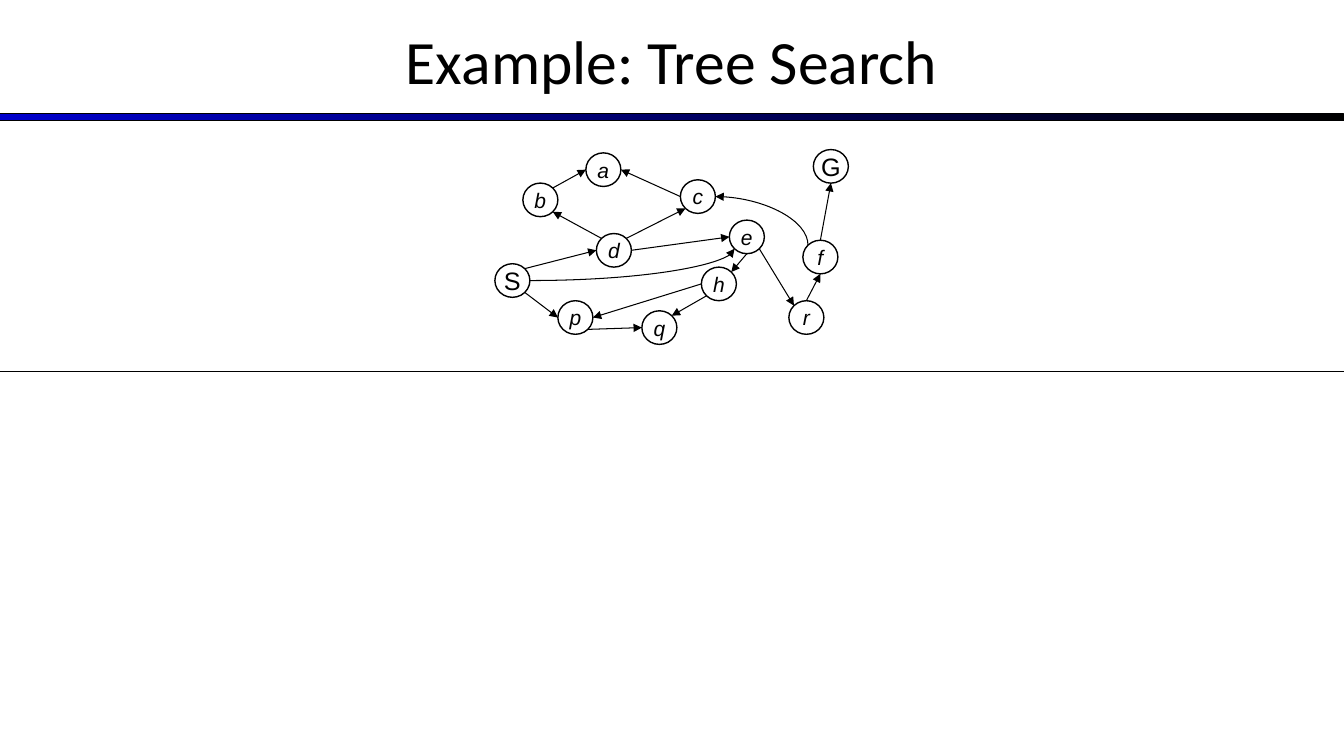
from lxml import etree
from pptx import Presentation
from pptx.dml.color import RGBColor
from pptx.enum.shapes import MSO_CONNECTOR, MSO_SHAPE
from pptx.enum.text import MSO_ANCHOR, PP_ALIGN
from pptx.oxml.ns import qn
from pptx.util import Inches, Pt

BLACK = RGBColor(0x00, 0x00, 0x00)
BLUE = RGBColor(0x00, 0x00, 0xCC)
STRAIGHT, CURVE = MSO_CONNECTOR.STRAIGHT, MSO_CONNECTOR.CURVE
RECT, CIRCLE = MSO_SHAPE.RECTANGLE, MSO_SHAPE.FLOWCHART_CONNECTOR
MIDDLE, CENTER = MSO_ANCHOR.MIDDLE, PP_ALIGN.CENTER

COLS, ROWS = 384, 225
NODE = 10
DIAG = 3.54
SITES = {
    "n": (0, -5), "s": (0, 5), "w": (-5, 0), "e": (5, 0),
    "nw": (-DIAG, -DIAG), "ne": (DIAG, -DIAG),
    "sw": (-DIAG, DIAG), "se": (DIAG, DIAG),
}
GRAPH_COL, GRAPH_ROW = 146.4, 49.5
NODES = {
    "S": (0, 34), "G": (91, 0), "d": (29, 25), "b": (8, 10),
    "p": (18, 45), "q": (42, 48), "c": (53, 9), "e": (67, 21),
    "h": (59, 35), "a": (26, 1), "f": (88, 27), "r": (84, 45),
}
EDGES = [
    ("S", "se", "p", "w"), ("p", "se", "q", "w"), ("h", "sw", "q", "ne"),
    ("h", "w", "p", "e"), ("e", "s", "h", "ne"), ("e", "se", "r", "nw"),
    ("r", "n", "f", "s"), ("f", "n", "G", "s"), ("S", "ne", "d", "w"),
    ("d", "nw", "b", "se"), ("b", "ne", "a", "w"), ("c", "w", "a", "e"),
    ("d", "ne", "c", "sw"), ("d", "e", "e", "w"),
]


def write(tf, text, size, font="Arial", italic=False):
    tf.vertical_anchor = MIDDLE
    p = tf.paragraphs[0]
    p.alignment = CENTER
    r = p.add_run()
    r.text = text
    r.font.name, r.font.size = font, Pt(size)
    r.font.italic = italic
    r.font.color.rgb = BLACK


class Deck:
    def __init__(self):
        self.prs = Presentation()
        self.prs.slide_width = Inches(13.33)
        self.prs.slide_height = Inches(7.5)
        self.s = self.prs.slides.add_slide(self.prs.slide_layouts[6])
        self.shapes = self.s.shapes

    def x(self, col):
        return round(self.prs.slide_width * col / COLS)

    def y(self, row):
        return round(self.prs.slide_height * row / ROWS)

    def box(self, col, row, cols, rows):
        return self.x(col), self.y(row), self.x(cols), self.y(rows)

    def title(self, text, *place):
        tf = self.shapes.add_textbox(*self.box(*place)).text_frame
        tf.word_wrap = True
        write(tf, text, 44, font="Calibri")

    def bar(self, *place):
        sp = self.shapes.add_shape(RECT, *self.box(*place))
        sp.shadow.inherit = False
        sp.fill.gradient()
        sp.fill.gradient_angle = 0
        for stop, color, at in zip(sp.fill.gradient_stops, (BLUE, BLACK), (0, 1)):
            stop.color.rgb = color
            stop.position = at
        sp.line.color.rgb, sp.line.width = BLACK, Pt(0.75)

    def node(self, name, col, row):
        sp = self.shapes.add_shape(
            CIRCLE, *self.box(col - NODE / 2, row - NODE / 2, NODE, NODE))
        sp.shadow.inherit = False
        sp.fill.background()
        sp.line.color.rgb, sp.line.width = BLACK, Pt(1)
        tf = sp.text_frame
        tf.word_wrap = False
        goal = name.isupper()
        write(tf, name, 18 if goal else 15, italic=not goal)

    def line(self, start, end, arrow=None, kind=STRAIGHT):
        c = self.shapes.add_connector(
            kind, self.x(start[0]), self.y(start[1]), self.x(end[0]), self.y(end[1]))
        c.line.color.rgb, c.line.width = BLACK, Pt(0.75)
        sp_pr = c._element.spPr
        if kind == CURVE:
            sp_pr.find(qn("a:prstGeom")).set("prst", "curvedConnector2")
        if arrow:
            etree.SubElement(sp_pr.find(qn("a:ln")), qn(f"a:{arrow}"), type="triangle")
        etree.SubElement(sp_pr, qn("a:effectLst"))

    def group(self):
        self.shapes = self.s.shapes.add_group_shape().shapes


def site(name, side):
    col, row = NODES[name]
    dx, dy = SITES[side]
    return GRAPH_COL + col + dx, GRAPH_ROW + row + dy


def main():
    deck = Deck()
    deck.bar(0, 33.9, COLS, 2.1)
    deck.title("Example: Tree Search", 0, -0.9, COLS, 37.5)
    deck.line((0, 110.7), (COLS, 110.7))
    deck.group()
    for name, (col, row) in NODES.items():
        deck.node(name, GRAPH_COL + col, GRAPH_ROW + row)
    for tail, out, head, into in EDGES:
        deck.line(site(tail, out), site(head, into), arrow="tailEnd")
    deck.line(site("c", "e"), site("f", "nw"), arrow="headEnd", kind=CURVE)
    deck.line(site("S", "e"), site("e", "sw"), arrow="tailEnd", kind=CURVE)
    deck.prs.save("out.pptx")


if __name__ == "__main__":
    main()
